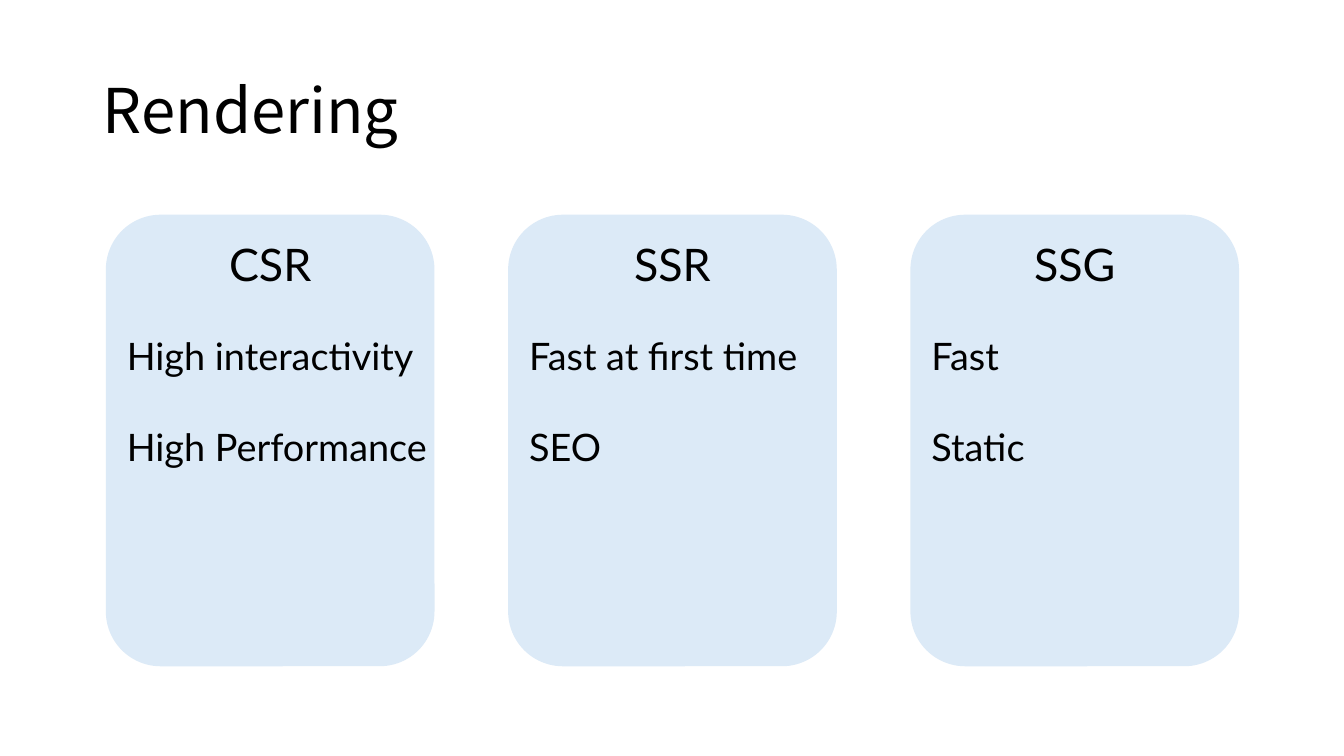
from pptx import Presentation
from pptx.dml.color import RGBColor
from pptx.enum.shapes import MSO_SHAPE
from pptx.enum.text import MSO_ANCHOR, MSO_AUTO_SIZE, PP_ALIGN
from pptx.util import Inches, Pt

COLORS = {"text": "000000", "card": "DCEAF7"}
FORMATS = {
    "title": {"size": Pt(44), "name": "Noto Sans CJK KR"},
    "heading": {"size": Pt(32), "name": "Lato"},
    "body": {"size": Pt(27), "name": "Lato"},
}
CARDS = [
    ("CSR", ["High interactivity", "High Performance"], 3.74),
    ("SSR", ["Fast at first time", "SEO"], 3.14),
    ("SSG", ["Fast", "Static"], 3.14),
]


class CardSlide:
    """Builds a titled slide of cards on a grid of equal columns."""

    left, top, pitch = 1.05, 2.13, 3.99
    card_width, card_height = 3.26, 4.48

    def __init__(self, deck):
        self.slide = deck.slides.add_slide(deck.slide_layouts[5])

    def place(self, column, x, y, width, height):
        left = self.left + column * self.pitch + x
        return [Inches(value) for value in (left, self.top + y, width, height)]

    def add_span(self, para, text, style):
        span = para.add_run()
        span.text = text
        for name, value in FORMATS[style].items():
            setattr(span.font, name, value)
        span.font.color.rgb = RGBColor.from_string(COLORS["text"])

    def title(self, text):
        box = self.slide.shapes.title
        bounds = self.place(0, -0.13, -1.73, 11.5, 1.45)
        for name, value in zip(("left", "top", "width", "height"), bounds):
            setattr(box, name, value)
        box.text_frame.vertical_anchor = MSO_ANCHOR.MIDDLE
        para = box.text_frame.paragraphs[0]
        para.alignment = PP_ALIGN.LEFT
        para.line_spacing = 0.9
        self.add_span(para, text, "title")

    def card(self, column):
        bounds = self.place(column, 0, 0, self.card_width, self.card_height)
        box = self.slide.shapes.add_shape(MSO_SHAPE.ROUNDED_RECTANGLE, *bounds)
        box.shadow.inherit = False
        box.fill.solid()
        box.fill.fore_color.rgb = RGBColor.from_string(COLORS["card"])
        box.line.fill.background()

    def text(self, bounds, lines, style, alignment=PP_ALIGN.LEFT):
        frame = self.slide.shapes.add_textbox(*bounds).text_frame
        frame.word_wrap = True
        frame.auto_size = MSO_AUTO_SIZE.SHAPE_TO_FIT_TEXT
        for index, line in enumerate(lines):
            para = frame.add_paragraph() if index else frame.paragraphs[0]
            para.alignment = alignment
            para.space_before = Pt(32.4 if index else 0)
            self.add_span(para, line, style)

    def heading(self, column, text):
        bounds = self.place(column, 0.37, 0.17, 2.52, 0.64)
        self.text(bounds, [text], "heading", PP_ALIGN.CENTER)

    def points(self, column, lines, width):
        self.text(self.place(column, 0.11, 1.12, width, 1.46), lines, "body")


def main():
    deck = Presentation()
    deck.slide_width, deck.slide_height = Inches(13.33), Inches(7.5)
    page = CardSlide(deck)
    page.title("Rendering")
    for column, (heading, lines, width) in enumerate(CARDS):
        page.card(column)
        page.heading(column, heading)
        page.points(column, lines, width)
    deck.save("out.pptx")


if __name__ == "__main__":
    main()
